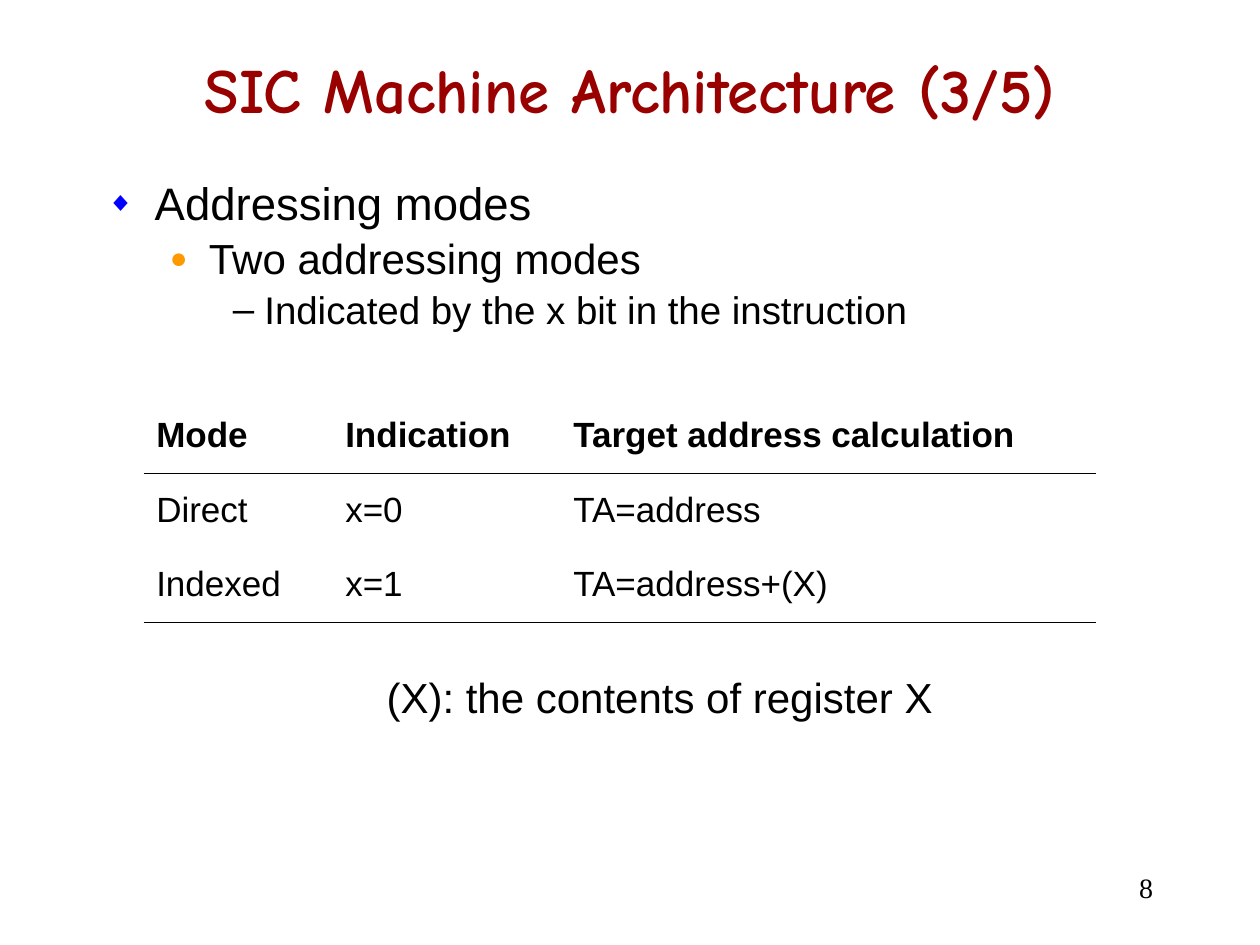
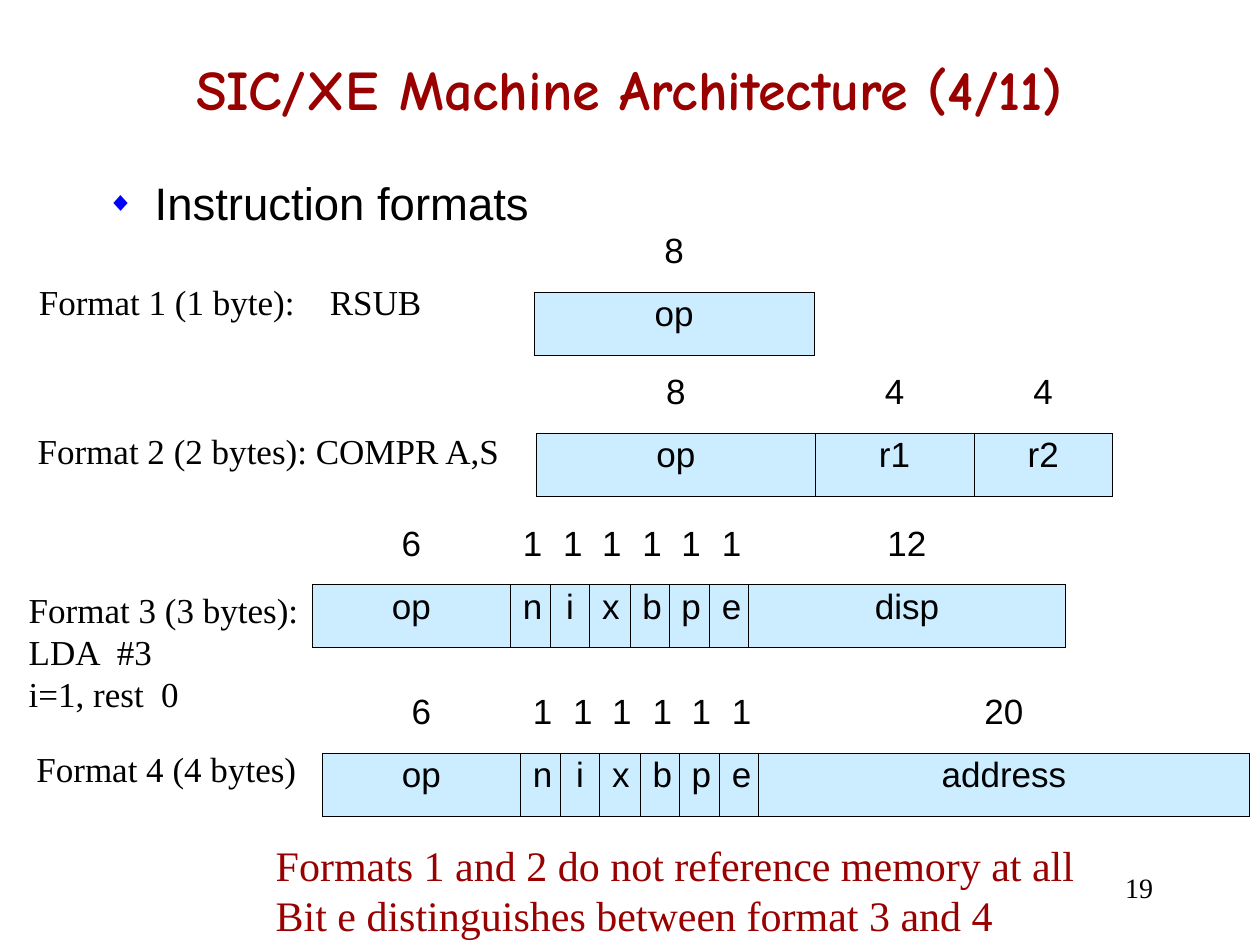
import dataclasses

import lxml.etree
import pptx
import pptx.dml.color
import pptx.enum.shapes
import pptx.enum.text
import pptx.oxml.ns
import pptx.util

Inches, Pt = pptx.util.Inches, pptx.util.Pt
RGB = pptx.dml.color.RGBColor.from_string
ALIGN = pptx.enum.text.PP_ALIGN
ANCHOR = pptx.enum.text.MSO_ANCHOR
AUTO_SIZE = pptx.enum.text.MSO_AUTO_SIZE
qn = pptx.oxml.ns.qn


@dataclasses.dataclass(frozen=True)
class Theme:
    ink: str = "000000"
    accent: str = "990000"
    paper: str = "FFFFFF"
    field: str = "CCECFF"
    title_font: str = "Comic Neue"
    body_font: str = "Arial"
    label_font: str = "Times New Roman"
    label_size: int = 20
    cell_size: int = 20
    note_size: int = 24
    number_size: int = 16
    line_spacing: float = 0.9
    cell_space: float = 3.7
    border: float = 0.45


THEME = Theme()

# Per level: size, space before, left margin, hanging indent, bullet, colour, percent
LEVELS = [
    (26, 4.9, 0.38, 0.38, "◆", "0000FF", 60),
    (24, 4.5, 0.81, 0.31, "●", "FF9900", 70),
    (22, 4.1, 1.25, 0.25, "‒", "000000", 100),
]

ADDRESSING = {
    "title": "SIC Machine Architecture (3/5)",
    "title_size": 36,
    "number": 8,
    "bullets": [
        "Addressing modes",
        "Two addressing modes",
        "Indicated by the x bit in the instruction",
    ],
}
MODES = [
    ("Mode", "Indication", "Target address calculation"),
    ("Direct", "x=0", "TA=address"),
    ("Indexed", "x=1", "TA=address+(X)"),
]
MODES_AT = (1.14, 3.28)
MODE_COLS = [1.5, 1.81, 4.25]
MODE_ROWS = [0.48, 0.6, 0.58]
REGISTER_NOTE = ["(X): the contents of register X"]

FORMATS_SLIDE = {
    "title": "SIC/XE Machine Architecture (4/11)",
    "title_size": 32,
    "number": 19,
    "bullets": ["Instruction formats"],
}
FORMAT_ROWS = [0.5, 0.5]
# Fields are (bits, name, width)
FLAGS = [(1, flag, (0.32, 0.31)[i % 2]) for i, flag in enumerate("nixbpe")]
OPCODE_6 = (6, "op", 1.57)
# Tab stops (inches) follow the label lines, one for each line
FORMATS = [
    {"at": (4.24, 1.82), "fields": [(8, "op", 2.22)],
     "label": ["Format 1 (1 byte):\tRSUB"], "tabs": [2.31],
     "label_box": (0.21, 2.18, 3.27, 0.44)},
    {"at": (4.26, 2.94), "fields": [(8, "op", 2.21), (4, "r1", 1.26), (4, "r2", 1.1)],
     "label": ["Format 2 (2 bytes): COMPR A,S"], "tabs": [],
     "label_box": (0.2, 3.36, 3.91, 0.44)},
    {"at": (2.48, 4.14), "fields": [OPCODE_6, *FLAGS, (12, "disp", 2.52)],
     "label": ["Format 3 (3 bytes):", "LDA\t#3", "i=1, rest\t0"], "tabs": [None, 0.7, 1.05],
     "label_box": (0.13, 4.62, 2.44, 1.1)},
    {"at": (2.56, 5.48), "fields": [OPCODE_6, *FLAGS, (20, "address", 3.9)],
     "label": ["Format 4 (4 bytes)"], "tabs": [],
     "label_box": (0.19, 5.88, 2.29, 0.44)},
]
FORMAT_NOTE = [
    "Formats 1 and 2 do not reference memory at all",
    "Bit e distinguishes between format 3 and 4",
]


def sub(parent, tag, **attrs):
    return lxml.etree.SubElement(parent, qn(tag), {k: str(v) for k, v in attrs.items()})


def style(p, font, size, color=THEME.ink, bold=False, align=ALIGN.LEFT):
    p.alignment = align
    p.font.name, p.font.size, p.font.bold = font, Pt(size), bold
    p.font.color.rgb = RGB(color)


def add_box(s, box):
    return s.shapes.add_textbox(*map(Inches, box))


def write_lines(sp, lines, font, size, color=THEME.ink, tabs=()):
    """Fill a shape with unwrapped lines; a tab stop may be given for each line."""
    tf = sp.text_frame
    tf.word_wrap = False
    tf.auto_size = AUTO_SIZE.SHAPE_TO_FIT_TEXT
    tf.vertical_anchor = ANCHOR.TOP
    tf.text = "\n".join(lines)
    for i, p in enumerate(tf.paragraphs):
        if i < len(tabs) and tabs[i]:
            stops = sub(p._p.get_or_add_pPr(), "a:tabLst")
            sub(stops, "a:tab", pos=Inches(tabs[i]), algn="l")
        style(p, font, size, color)


def add_line(s, box, text, font, size, color, bold, align):
    """Add one line of text, centred vertically in its box."""
    tf = add_box(s, box).text_frame
    tf.word_wrap = True
    tf.vertical_anchor = ANCHOR.MIDDLE
    tf.text = text
    style(tf.paragraphs[0], font, size, color, bold, align)


def add_bullets(s, lines):
    """Write each line one outline level below the line before it."""
    tf = add_box(s, (0.75, 1.39, 8.5, 5.41)).text_frame
    tf.word_wrap = True
    tf.text = "\n".join(lines)
    for level, (p, look) in enumerate(zip(tf.paragraphs, LEVELS)):
        size, space, margin, hang, char, color, percent = look
        p.level = level
        p.line_spacing, p.space_before = THEME.line_spacing, Pt(space)
        pPr = p._p.get_or_add_pPr()
        pPr.set("marL", str(Inches(margin)))
        pPr.set("indent", str(-Inches(hang)))
        sub(sub(pPr, "a:buClr"), "a:srgbClr", val=color)
        sub(pPr, "a:buSzPct", val=percent * 1000)
        sub(pPr, "a:buFont", typeface=THEME.body_font)
        sub(pPr, "a:buChar", char=char)
        style(p, THEME.body_font, size)


def set_borders(cell, sides):
    """Draw the sides named in a string of L, R, T and B, and clear the others."""
    tcPr = cell._tc.get_or_add_tcPr()
    for side in "LRTB":
        ln = sub(tcPr, "a:ln" + side, w=Pt(THEME.border))
        if side in sides:
            sub(sub(ln, "a:solidFill"), "a:srgbClr", val=THEME.ink)
        else:
            sub(ln, "a:noFill")


def add_grid(s, at, cols, heights, rows, borders, align=ALIGN.LEFT):
    """Add a plain table; borders holds the sides drawn in each row."""
    size = (sum(cols), sum(heights))
    frame = s.shapes.add_table(len(rows), len(cols), *map(Inches, (*at, *size)))
    table = frame.table
    table.first_row = table.horz_banding = False
    for column, width in zip(table.columns, cols):
        column.width = Inches(width)
    for r, (row, height) in enumerate(zip(table.rows, heights)):
        row.height = Inches(height)
        for cell, value in zip(row.cells, rows[r]):
            cell.text = str(value)
            p = cell.text_frame.paragraphs[0]
            p.line_spacing, p.space_before = THEME.line_spacing, Pt(THEME.cell_space)
            style(p, THEME.body_font, THEME.cell_size, align=align)
            set_borders(cell, borders[r])
            cell.fill.background()
    return table


def add_slide(prs, content):
    s = prs.slides.add_slide(prs.slide_layouts[6])
    add_line(s, (8.17, 6.83, 1.08, 0.42), str(content["number"]), THEME.label_font,
             THEME.number_size, THEME.ink, False, ALIGN.RIGHT)
    add_line(s, (0.75, 0.25, 8.5, 0.9), content["title"], THEME.title_font,
             content["title_size"], THEME.accent, True, ALIGN.CENTER)
    add_bullets(s, content["bullets"])
    return s


def build_addressing(prs):
    s = add_slide(prs, ADDRESSING)
    table = add_grid(s, MODES_AT, MODE_COLS, MODE_ROWS, MODES, ["B", "T", "B"])
    for r, row in enumerate(table.rows):
        for cell in row.cells:
            cell.text_frame.paragraphs[0].font.bold = r == 0
            cell.vertical_anchor = ANCHOR.MIDDLE if r else ANCHOR.TOP
    write_lines(add_box(s, (2.97, 5.28, 4.56, 0.5)), REGISTER_NOTE,
                THEME.body_font, THEME.note_size)


def build_formats(prs):
    s = add_slide(prs, FORMATS_SLIDE)
    for fmt in FORMATS:
        bits, names, widths = zip(*fmt["fields"])
        table = add_grid(s, fmt["at"], widths, FORMAT_ROWS, [bits, names],
                         ["B", "LRTB"], ALIGN.CENTER)
        for cell in table.rows[1].cells:
            cell.fill.solid()
            cell.fill.fore_color.rgb = RGB(THEME.field)
        write_lines(add_box(s, fmt["label_box"]), fmt["label"],
                    THEME.label_font, THEME.label_size, tabs=fmt["tabs"])
    note = s.shapes.add_shape(pptx.enum.shapes.MSO_SHAPE.RECTANGLE,
                              *map(Inches, (2.09, 6.61, 6.57, 0.9)))
    note.shadow.inherit = False
    note.fill.solid()
    note.fill.fore_color.rgb = RGB(THEME.paper)
    note.line.fill.background()
    write_lines(note, FORMAT_NOTE, THEME.label_font, THEME.note_size, THEME.accent)


def main():
    prs = pptx.Presentation()
    prs.slide_width, prs.slide_height = Inches(10), Inches(7.5)
    build_addressing(prs)
    build_formats(prs)
    prs.save("out.pptx")


if __name__ == "__main__":
    main()
